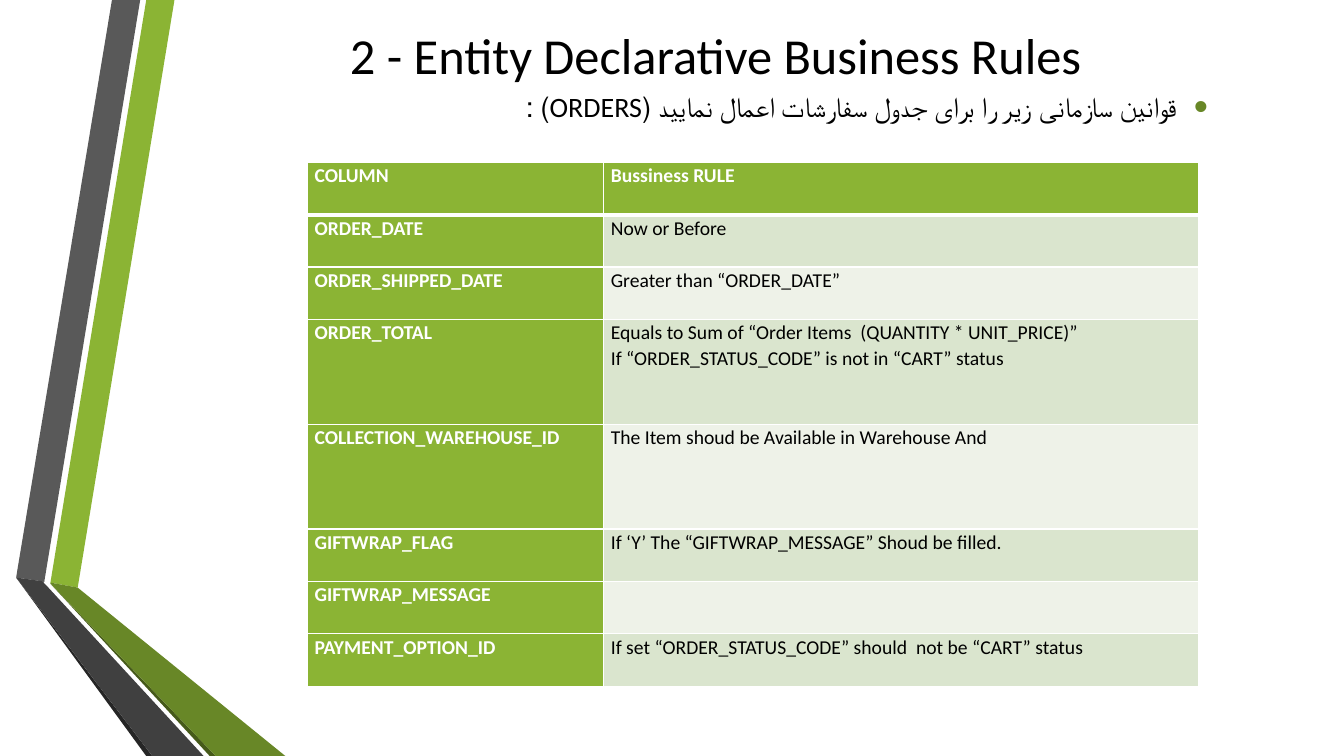
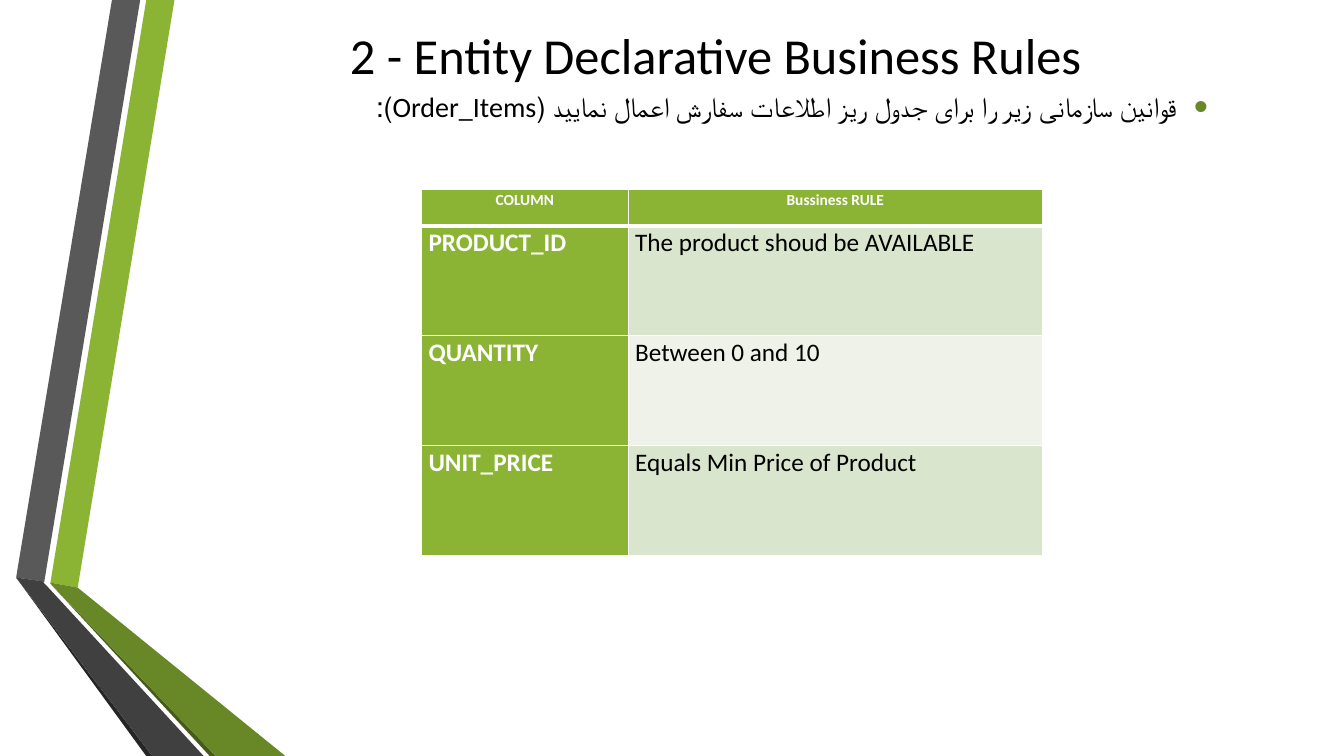
from dataclasses import dataclass

from lxml.etree import SubElement
from pptx import Presentation
from pptx.dml.color import RGBColor
from pptx.enum.text import MSO_ANCHOR as Anchor, PP_ALIGN as Align
from pptx.oxml import parse_xml
from pptx.oxml.ns import nsdecls, qn
from pptx.util import Emu, Inches, Pt

SLIDE_W, SLIDE_H = Inches(13.33), Inches(7.5)
FONT = "Calibri"
COLORS = {
    "green": "8BB434",
    "dark_green": "688727",
    "green_edge": "465A1A",
    "gray": "595959",
    "dark_gray": "404040",
    "gray_edge": "262626",
    "band_odd": "DAE5CE",
    "band_even": "EEF2E8",
    "white": "FFFFFF",
    "black": "000000",
}
TITLE = "2 - Entity Declarative Business Rules"
HEADINGS = ("COLUMN", "Bussiness RULE")
TEXT_LEFT, TEXT_WIDTH = 12.15, 82.22
THIN, THICK = 1, 3


@dataclass(frozen=True)
class Ribbon:
    """A folded stripe; points are percentages of the slide's width and height."""
    color: str
    points: tuple[tuple[float, float], ...]


@dataclass(frozen=True)
class Rule:
    column: str
    conditions: tuple[str, ...] = ()
    span: int = 1


@dataclass(frozen=True)
class RulesPage:
    """One slide; lengths are percentages of the slide's width or height."""
    task: str
    left: float
    top: float
    columns: tuple[float, float]
    heading_height: float
    row_height: float
    heading_size: int
    body_size: int
    heading_align: Align
    rules: tuple[Rule, ...]


RIBBONS = (
    Ribbon("green", ((3.75, 77.07), (5.78, 77.73), (12.98, 0), (10.88, 0))),
    Ribbon("gray", ((10.43, 0), (8.33, 0), (1.2, 76.4), (3.3, 76.93))),
    Ribbon("gray_edge", ((1.2, 76.4), (10.88, 100), (11.33, 100))),
    Ribbon("green_edge", ((3.75, 77.2), (15.6, 100), (16.05, 100))),
    Ribbon("dark_green", ((3.75, 77.07), (3.75, 77.2), (16.05, 100),
                          (21.23, 100), (5.78, 77.73))),
    Ribbon("dark_gray", ((15.15, 100), (3.6, 77.73), (3.23, 77.07), (3.3, 76.93),
                         (1.2, 76.4), (11.33, 100))),
)

PAGES = (
    RulesPage(
        "قوانین سازمانی زیر را برای جدول سفارشات اعمال نمایید (ORDERS) :",
        22.88, 21.47, (22.05, 44.26), 6.93, 6.93, 14, 14, Align.LEFT,
        (
            Rule("ORDER_DATE", ("Now or Before",)),
            Rule("ORDER_SHIPPED_DATE", ("Greater than “ORDER_DATE”",)),
            Rule("ORDER_TOTAL",
                 ("Equals to Sum of “Order Items  (QUANTITY * UNIT_PRICE)”",
                  "If “ORDER_STATUS_CODE” is not in “CART” status"), span=2),
            Rule("COLLECTION_WAREHOUSE_ID",
                 ("The Item shoud be Available in Warehouse And",), span=2),
            Rule("GIFTWRAP_FLAG", ("If ‘Y’ The “GIFTWRAP_MESSAGE” Shoud be filled.",)),
            Rule("GIFTWRAP_MESSAGE"),
            Rule("PAYMENT_OPTION_ID",
                 ("If set “ORDER_STATUS_CODE” should  not be “CART” status",)),
        ),
    ),
    RulesPage(
        "قوانین سازمانی زیر را برای جدول ریز اطلاعات سفارش اعمال نمایید (Order_Items):",
        31.36, 25.07, (15.38, 30.83), 4.8, 14.53, 11, 18, Align.CENTER,
        (
            Rule("PRODUCT_ID", ("The product shoud be AVAILABLE",)),
            Rule("QUANTITY", ("Between 0 and 10",)),
            Rule("UNIT_PRICE", ("Equals Min Price of Product",)),
        ),
    ),
)


def across(percent: float) -> Emu:
    return Emu(round(SLIDE_W * percent / 100))


def down(percent: float) -> Emu:
    return Emu(round(SLIDE_H * percent / 100))


def rgb(name: str) -> RGBColor:
    return RGBColor.from_string(COLORS[name])


def apply(target, formats: dict) -> None:
    for attribute, value in formats.items():
        setattr(target, attribute, value)


def write(paragraph, text: str, size: int, color: str = "black", bold: bool = False) -> None:
    run = paragraph.add_run()
    run.text = text
    apply(run.font, {"name": FONT, "size": Pt(size), "bold": bold})
    run.font.color.rgb = rgb(color)


def draw_ribbon(slide, ribbon: Ribbon) -> None:
    start, *rest = [(across(x), down(y)) for x, y in ribbon.points]
    outline = slide.shapes.build_freeform(*start)
    outline.add_line_segments(rest, close=True)
    stripe = outline.convert_to_shape()
    stripe.shadow.inherit = False
    stripe.fill.solid()
    stripe.fill.fore_color.rgb = rgb(ribbon.color)
    stripe.line.fill.background()


def add_line_of_text(slide, top: float, height: float, text: str, size: int,
                     align: Align, formats: dict):
    box = slide.shapes.add_textbox(across(TEXT_LEFT), down(top),
                                   across(TEXT_WIDTH), down(height))
    apply(box.text_frame, {"word_wrap": True} | formats)
    paragraph = box.text_frame.paragraphs[0]
    paragraph.alignment = align
    write(paragraph, text, size)
    return paragraph


def make_rtl_bullet(paragraph) -> None:
    properties = paragraph._p.get_or_add_pPr()
    for key, value in {"marL": Inches(0.81), "indent": Inches(-0.31), "rtl": 1}.items():
        properties.set(key, str(int(value)))
    bullet_color = SubElement(properties, qn("a:buClr"))
    SubElement(bullet_color, qn("a:srgbClr"), val=COLORS["dark_green"])
    SubElement(properties, qn("a:buSzPct"), val="145000")
    SubElement(properties, qn("a:buFont"), typeface="Arial")
    SubElement(properties, qn("a:buChar"), char="•")


def style_cell(cell, fill: str, top: int, bottom: int) -> None:
    """Set borders before the fill, as the cell's XML order requires."""
    properties = cell._tc.get_or_add_tcPr()
    for side, width in {"L": THIN, "R": THIN, "T": top, "B": bottom}.items():
        properties.append(parse_xml(
            f'<a:ln{side} {nsdecls("a")} w="{Pt(width)}"><a:solidFill>'
            f'<a:srgbClr val="{COLORS["white"]}"/></a:solidFill></a:ln{side}>'))
    cell.fill.solid()
    cell.fill.fore_color.rgb = rgb(fill)
    apply(cell, {"margin_left": Inches(0.07), "margin_right": Inches(0.07),
                 "margin_top": 0, "margin_bottom": 0})


def fill_cell(cell, lines: tuple[str, ...], size: int, color: str, bold: bool,
              align: Align) -> None:
    frame = cell.text_frame
    for index, line in enumerate(lines):
        paragraph = frame.add_paragraph() if index else frame.paragraphs[0]
        apply(paragraph, {"alignment": align, "line_spacing": 1.07})
        write(paragraph, line, size, color, bold)


def add_rules_table(slide, page: RulesPage) -> None:
    heights = [page.heading_height] + [page.row_height * rule.span for rule in page.rules]
    table = slide.shapes.add_table(
        len(heights), len(page.columns), across(page.left), down(page.top),
        across(sum(page.columns)), down(sum(heights))).table
    apply(table, {"first_row": True, "first_col": True, "horz_banding": False})
    for column, width in zip(table.columns, page.columns):
        column.width = across(width)
    for row, height in zip(table.rows, heights):
        row.height = down(height)

    contents = [tuple((heading,) for heading in HEADINGS)]
    contents += [((rule.column,), rule.conditions) for rule in page.rules]
    for r, row_contents in enumerate(contents):
        is_heading = r == 0
        size = page.heading_size if is_heading else page.body_size
        align = page.heading_align if is_heading else Align.LEFT
        for c, lines in enumerate(row_contents):
            is_label = is_heading or c == 0
            band = "band_odd" if r % 2 else "band_even"
            cell = table.cell(r, c)
            style_cell(cell, "green" if is_label else band,
                       top=THICK if r == 1 else THIN,
                       bottom=THICK if is_heading else THIN)
            fill_cell(cell, lines, size, "white" if is_label else "black", is_label, align)


def add_rules_page(deck, page: RulesPage) -> None:
    slide = deck.slides.add_slide(deck.slide_layouts[6])
    for ribbon in RIBBONS:
        draw_ribbon(slide, ribbon)
    add_line_of_text(slide, 2.13, 10.13, TITLE, 36, Align.CENTER,
                     {"vertical_anchor": Anchor.MIDDLE})
    task = add_line_of_text(slide, 11.87, 9.2, page.task, 20, Align.RIGHT,
                            {"vertical_anchor": Anchor.TOP, "margin_top": 0})
    make_rtl_bullet(task)
    add_rules_table(slide, page)


def main() -> None:
    deck = Presentation()
    apply(deck, {"slide_width": SLIDE_W, "slide_height": SLIDE_H})
    for page in PAGES:
        add_rules_page(deck, page)
    deck.save("out.pptx")


if __name__ == "__main__":
    main()
